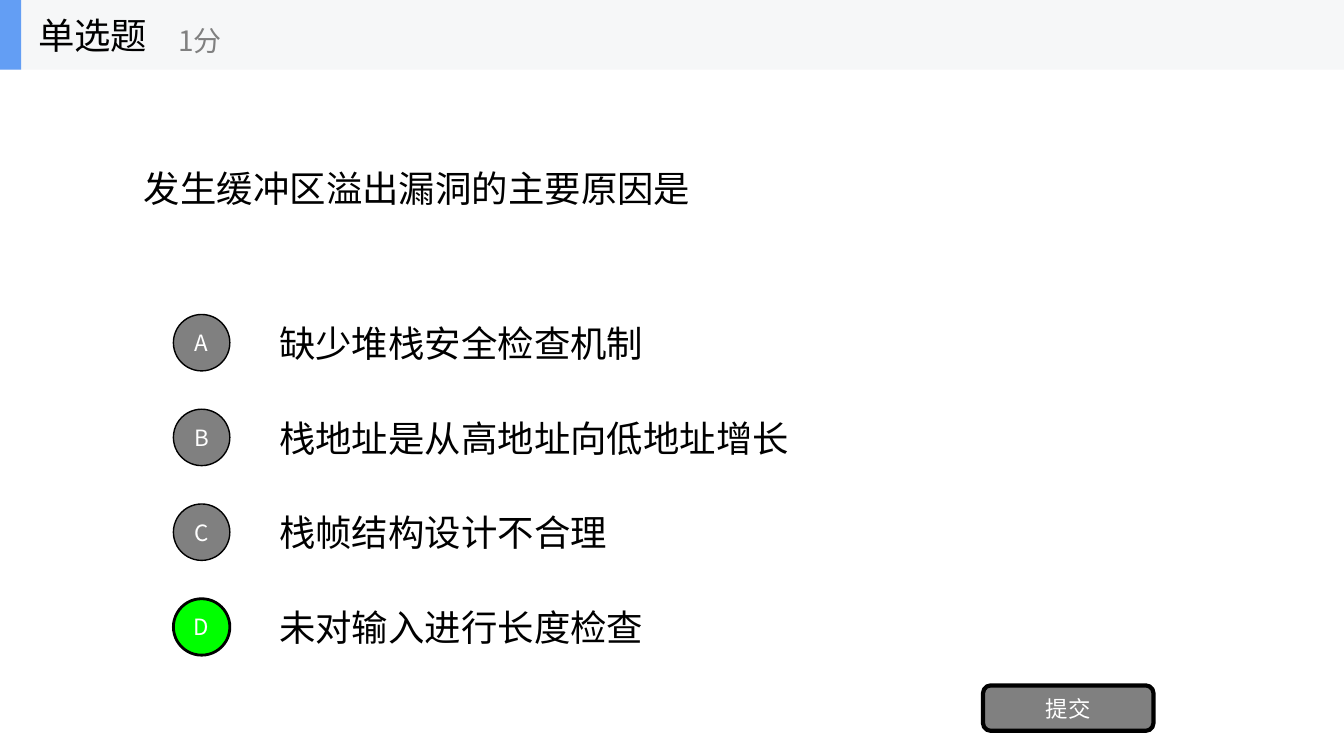
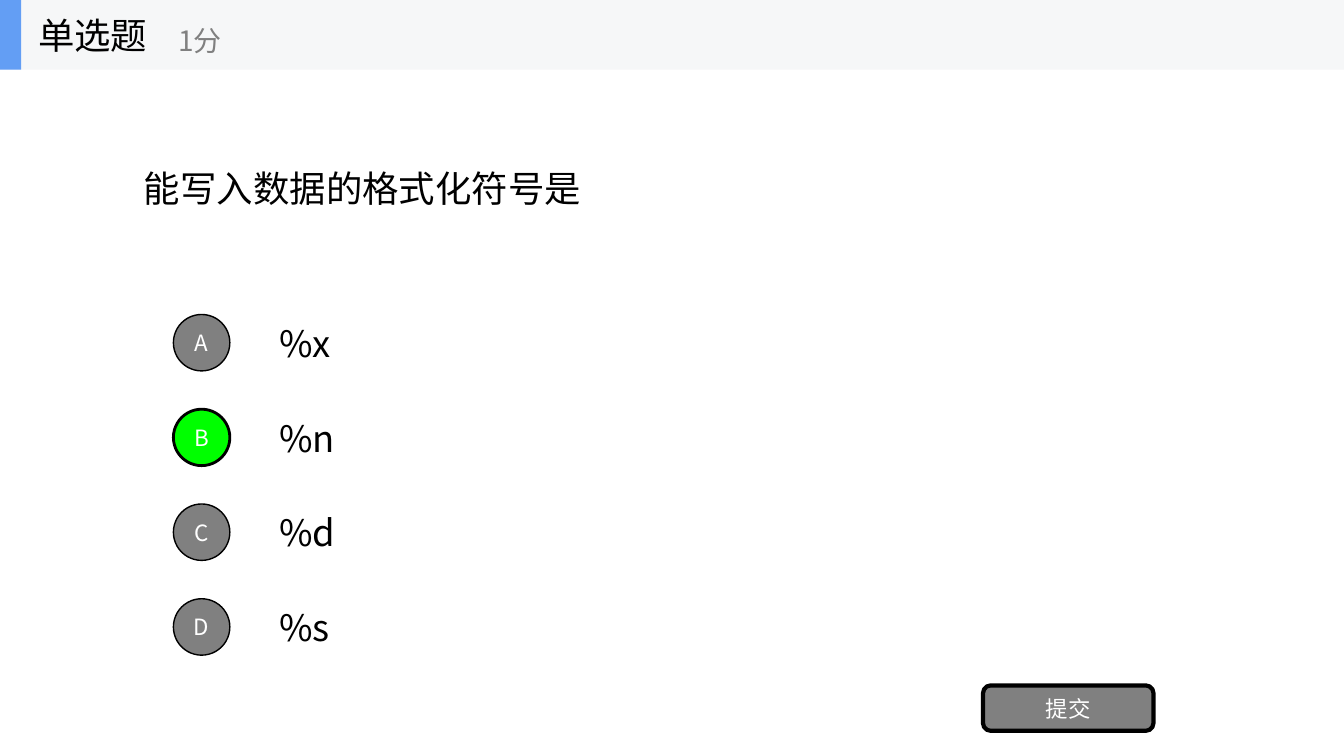
"""Build two single-choice quiz slides."""
import pptx
import pptx.dml.color
import pptx.enum.shapes
import pptx.enum.text
import pptx.oxml
import pptx.oxml.ns
import pptx.util

Inches = pptx.util.Inches
Pt = pptx.util.Pt
RGBColor = pptx.dml.color.RGBColor
SHAPE = pptx.enum.shapes.MSO_SHAPE
ALIGN = pptx.enum.text.PP_ALIGN
MIDDLE = pptx.enum.text.MSO_ANCHOR.MIDDLE

QUESTIONS = [
    {
        "question": "发生缓冲区溢出漏洞的主要原因是",
        "options": [
            "缺少堆栈安全检查机制",
            "栈地址是从高地址向低地址增长",
            "栈帧结构设计不合理",
            "未对输入进行长度检查",
        ],
        "answer": "D",
    },
    {
        "question": "能写入数据的格式化符号是",
        "options": ["%x", "%n", "%d", "%s"],
        "answer": "B",
    },
]
QUIZ_TYPE = "单选题"
SCORE = "1分"
SUBMIT = "提交"
LETTERS = "ABCD"

FONT = "Noto Sans CJK SC"
BLACK = RGBColor(0x00, 0x00, 0x00)
WHITE = RGBColor(0xFF, 0xFF, 0xFF)
GRAY = RGBColor(0x80, 0x80, 0x80)
GREEN = RGBColor(0x00, 0xFF, 0x00)
BAND = RGBColor(0xF6, 0xF7, 0xF8)
ACCENT = RGBColor(0x63, 0x9E, 0xF4)

SLIDE_W, SLIDE_H = 13.33, 7.5
BAND_H = 0.69
OPTION_TOP, OPTION_H, OPTION_STEP = 3.05, 0.7, 0.94
CIRCLE = 0.56


def write(shape, text, size, color, align=ALIGN.LEFT):
    tf = shape.text_frame
    tf.word_wrap = True
    tf.vertical_anchor = MIDDLE
    p = tf.paragraphs[0]
    p.alignment = align
    r = p.add_run()
    r.text = text
    r.font.color.rgb = color
    for name, value in {"size": Pt(size), "name": FONT}.items():
        setattr(r.font, name, value)
    east_asian = pptx.oxml.parse_xml(
        f'<a:ea {pptx.oxml.ns.nsdecls("a")} typeface="{FONT}"/>')
    r.font._element.append(east_asian)


def add_text(shapes, box, text, size=26, color=BLACK):
    write(shapes.add_textbox(*map(Inches, box)), text, size, color)


def add_block(shapes, kind, box, fill, line=0, text=""):
    shape = shapes.add_shape(kind, *map(Inches, box))
    shape.shadow.inherit = False
    shape.fill.solid()
    shape.fill.fore_color.rgb = fill
    if line:
        shape.line.color.rgb = BLACK
        shape.line.width = Pt(line)
    else:
        shape.line.fill.background()
    if text:
        for side in ("left", "right", "top", "bottom"):
            setattr(shape.text_frame, f"margin_{side}", 0)
        write(shape, text, 16, WHITE, ALIGN.CENTER)


def add_header(s):
    shapes = s.shapes.add_group_shape().shapes
    add_block(shapes, SHAPE.RECTANGLE, (0, 0, SLIDE_W, BAND_H), BAND)
    add_block(shapes, SHAPE.RECTANGLE, (0, 0, 0.21, BAND_H), ACCENT)
    add_text(shapes, (0.28, 0, 2.08, BAND_H), QUIZ_TYPE)
    add_text(shapes, (1.67, 0.12, 2.5, 0.56), SCORE, 20, GRAY)


def add_quiz(prs, quiz):
    s = prs.slides.add_slide(prs.slide_layouts[6])
    add_text(s.shapes, (1.33, BAND_H, 10.67, 2.34), quiz["question"])
    for i, (letter, option) in enumerate(zip(LETTERS, quiz["options"])):
        top = OPTION_TOP + i * OPTION_STEP
        add_text(s.shapes, (2.67, top, 9.33, OPTION_H), option)
        fill, line = (GREEN, 2) if letter == quiz["answer"] else (GRAY, 1)
        circle_top = top + (OPTION_H - CIRCLE) / 2
        add_block(s.shapes, SHAPE.OVAL, (1.72, circle_top, CIRCLE, CIRCLE),
                  fill, line, letter)
    add_block(s.shapes, SHAPE.ROUNDED_RECTANGLE, (9.75, 6.8, 1.69, 0.45),
              GRAY, 3, SUBMIT)
    add_header(s)


def main():
    prs = pptx.Presentation()
    prs.slide_width, prs.slide_height = Inches(SLIDE_W), Inches(SLIDE_H)
    for quiz in QUESTIONS:
        add_quiz(prs, quiz)
    prs.save("out.pptx")


if __name__ == "__main__":
    main()
